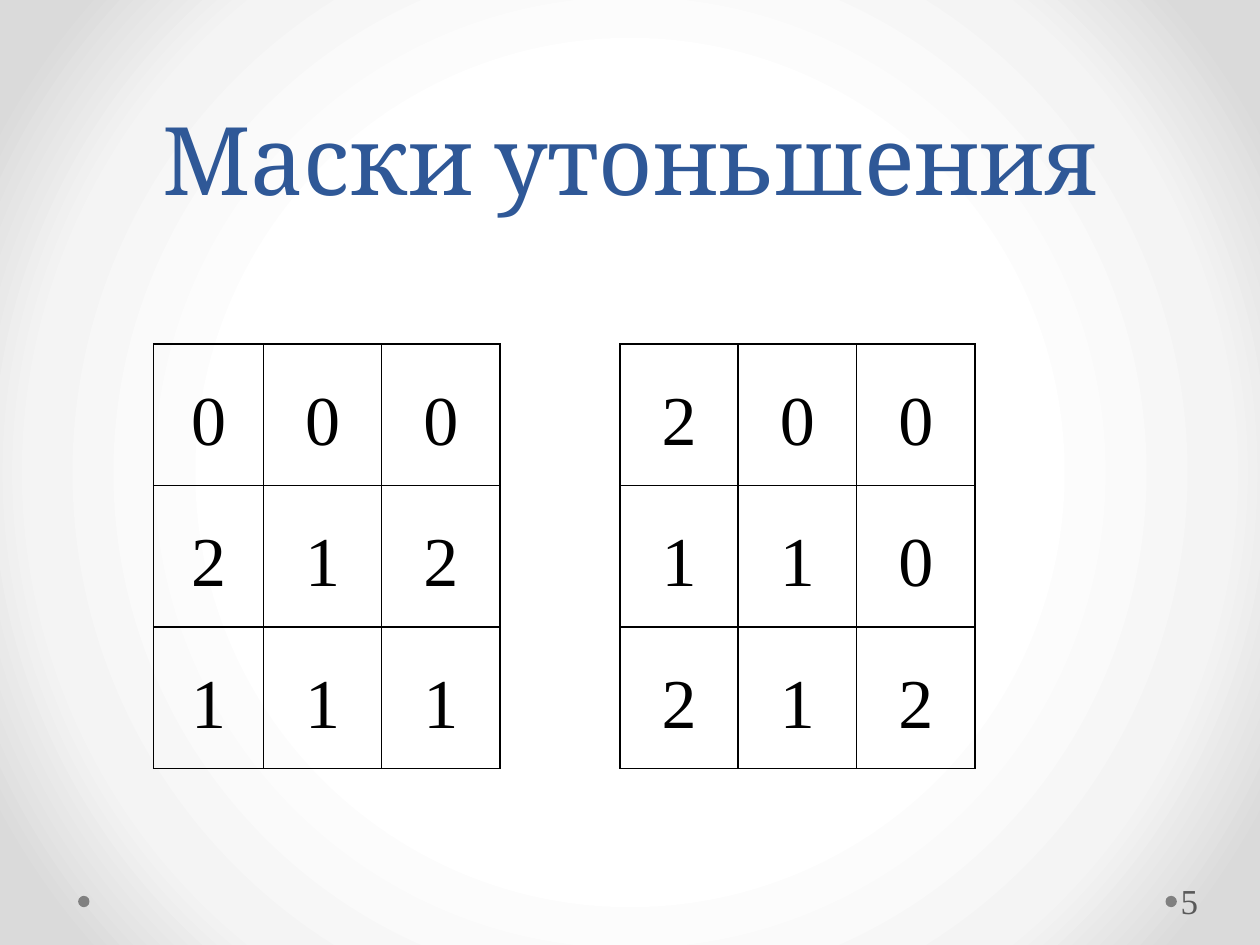
from lxml.etree import SubElement
from pptx import Presentation
from pptx.dml.color import RGBColor
from pptx.enum.shapes import MSO_SHAPE as Shape
from pptx.enum.text import MSO_ANCHOR as Anchor, PP_ALIGN as Align
from pptx.oxml import parse_xml
from pptx.oxml.ns import nsdecls, qn
from pptx.util import Inches, Pt

BLACK = RGBColor(0x00, 0x00, 0x00)
BLUE = RGBColor(0x2F, 0x58, 0x97)
DOT_GRAY = RGBColor(0x80, 0x80, 0x80)
NUMBER_GRAY = RGBColor(0x59, 0x59, 0x59)
GLOW = [
    (50, RGBColor(0xFF, 0xFF, 0xFF)),
    (76, RGBColor(0xF4, 0xF4, 0xF4)),
    (92, RGBColor(0xDA, 0xDA, 0xDA)),
]

SERIF = "Times New Roman"
MASKS = ["000 200", "212 110", "111 212"]  # the space separates the two masks
COLUMN_WIDTHS = [0.87] + [0.94] * 2 + [0.95] + [0.94] * 3
ROW_HEIGHT = 1.12


def add_run(paragraph, text, font, size, color):
    run = paragraph.add_run()
    run.text = text
    run.font.name = font
    run.font.size = Pt(size)
    run.font.color.rgb = color


def paint_background(slide):
    """Radial glow, white in the middle and gray at the corners."""
    slide.background.fill.gradient()
    gradient = slide.element.find(".//" + qn("a:gradFill"))
    stops = "".join(
        f'<a:gs pos="{share * 1000}"><a:srgbClr val="{color}"/></a:gs>'
        for share, color in GLOW
    )
    glow = parse_xml(
        f'<a:gradFill {nsdecls("a")} rotWithShape="1"><a:gsLst>{stops}</a:gsLst>'
        '<a:path path="circle"><a:fillToRect l="50000" t="50000" r="50000" b="50000"/>'
        "</a:path></a:gradFill>"
    )
    gradient.getparent().replace(gradient, glow)


def add_dot(slide, left):
    dot = slide.shapes.add_shape(
        Shape.OVAL, Inches(left), Inches(7.11), Inches(0.09), Inches(0.09)
    )
    dot.shadow.inherit = False
    dot.fill.solid()
    dot.fill.fore_color.rgb = DOT_GRAY
    dot.line.fill.background()


def fill_title(slide, text):
    title = slide.shapes.title
    title.left, title.top = Inches(0.5), Inches(0)
    title.width, title.height = Inches(9), Inches(1.75)
    frame = title.text_frame
    frame.word_wrap = True
    frame.vertical_anchor = Anchor.BOTTOM
    paragraph = frame.paragraphs[0]
    paragraph.alignment = Align.CENTER
    paragraph.line_spacing = Pt(58)
    add_run(paragraph, text, "Cambria", 54, BLUE)


def set_borders(cell, drawn_sides):
    properties = cell._tc.get_or_add_tcPr()
    for position, side in enumerate("LRTB"):
        border = SubElement(properties, qn(f"a:ln{side}"), w=str(Pt(1)))
        if side in drawn_sides:
            paint = SubElement(border, qn("a:solidFill"))
            SubElement(paint, qn("a:srgbClr"), val=str(BLACK))
        else:
            SubElement(border, qn("a:noFill"))
        properties.insert(position, border)


def fill_mask_cell(cell, digit):
    cell.vertical_anchor = Anchor.MIDDLE
    cell.margin_left = cell.margin_top = cell.margin_right = 0
    cell.margin_bottom = Inches(0.2)
    paragraph = cell.text_frame.paragraphs[0]
    paragraph.alignment = Align.CENTER
    paragraph.line_spacing = 1.5
    add_run(paragraph, digit, SERIF, 40, BLACK)


def add_masks(slide):
    table = slide.shapes.add_table(
        len(MASKS), len(COLUMN_WIDTHS), Inches(1.22), Inches(2.73),
        Inches(sum(COLUMN_WIDTHS)), Inches(ROW_HEIGHT * len(MASKS)),
    ).table
    table.first_row = table.horz_banding = False
    for column, width in zip(table.columns, COLUMN_WIDTHS):
        column.width = Inches(width)
    for row, digits in zip(table.rows, MASKS):
        row.height = Inches(ROW_HEIGHT)
        for cell, digit in zip(row.cells, digits):
            cell.fill.background()
            is_gap = digit == " "
            set_borders(cell, "LR" if is_gap else "LRTB")
            if not is_gap:
                fill_mask_cell(cell, digit)


def add_page_number(slide, number):
    box = slide.shapes.add_textbox(
        Inches(9.34), Inches(6.95), Inches(0.61), Inches(0.4)
    )
    frame = box.text_frame
    frame.word_wrap = True
    frame.vertical_anchor = Anchor.MIDDLE
    frame.margin_left = Inches(0.03)
    frame.margin_top = frame.margin_right = frame.margin_bottom = Inches(0.05)
    add_run(frame.paragraphs[0], number, SERIF, 20, NUMBER_GRAY)


def main():
    deck = Presentation()
    deck.slide_width, deck.slide_height = Inches(10), Inches(7.5)
    slide = deck.slides.add_slide(deck.slide_layouts[5])
    paint_background(slide)
    for left in (9.25, 0.62):
        add_dot(slide, left)
    fill_title(slide, "Маски утоньшения")
    add_masks(slide)
    add_page_number(slide, "5")
    deck.save("out.pptx")


if __name__ == "__main__":
    main()
